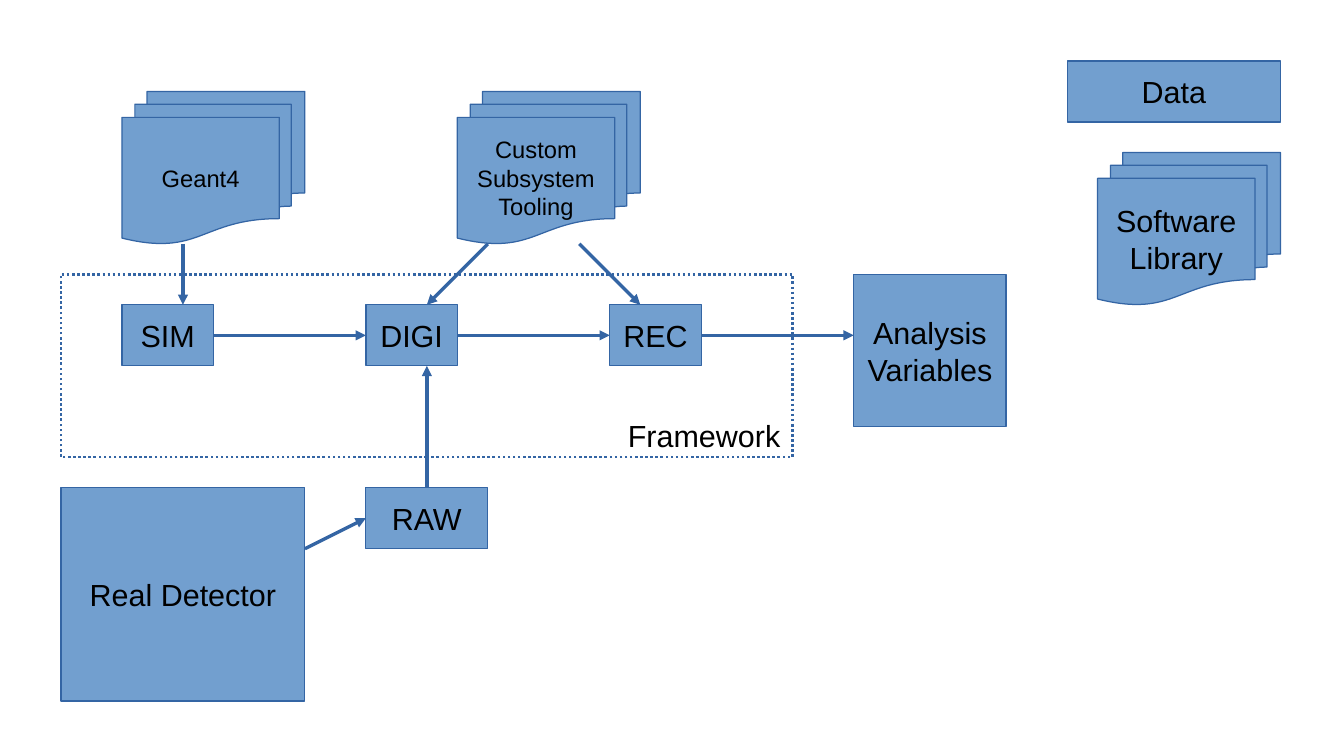
from pptx import Presentation
from pptx.dml.color import RGBColor
from pptx.enum.dml import MSO_LINE as DASH
from pptx.enum.shapes import MSO_CONNECTOR, MSO_SHAPE as SHAPE
from pptx.enum.text import MSO_ANCHOR, MSO_AUTO_SIZE, PP_ALIGN
from pptx.oxml.ns import qn
from pptx.util import Inches, Pt
from lxml.etree import SubElement

FILL = RGBColor(0x72, 0x9F, 0xCF)
EDGE = RGBColor(0x34, 0x65, 0xA4)
BLACK = RGBColor(0, 0, 0)

deck = Presentation()
deck.slide_width, deck.slide_height = Inches(11.02), Inches(6.2)
slide = deck.slides.add_slide(deck.slide_layouts[6])
shapes = slide.shapes


def write(shape, text, size, align):
    frame = shape.text_frame
    frame.text = text
    for para in frame.paragraphs:
        para.alignment = align
        para.font.name = "Arial"
        para.font.size = Pt(size)
        para.font.color.rgb = BLACK


def add_box(kind, place, text, size=18):
    box = shapes.add_shape(kind, *map(Inches, place))
    box.shadow.inherit = False
    box.fill.solid()
    box.fill.fore_color.rgb = FILL
    box.line.color.rgb = EDGE
    box.line.width = Pt(0)
    box.text_frame.vertical_anchor = MSO_ANCHOR.MIDDLE
    write(box, text, size, PP_ALIGN.CENTER)


# Data stages
for place, text in [
    ((1, 2.5, 0.75, 0.5), "SIM"),
    ((3, 2.5, 0.75, 0.5), "DIGI"),
    ((5, 2.5, 0.75, 0.5), "REC"),
    ((7, 2.25, 1.25, 1.25), "Analysis\nVariables"),
    ((3, 4, 1, 0.5), "RAW"),
    ((0.5, 4, 2, 1.75), "Real Detector"),
]:
    add_box(SHAPE.RECTANGLE, place, text)

# Data flow: start x, start y, end x, end y
for ends in [
    (1.5, 2, 1.5, 2.5),
    (4, 2, 3.5, 2.5),
    (4.75, 2, 5.25, 2.5),
    (2.5, 4.5, 3, 4.25),
    (3.5, 4, 3.5, 3),
    (1.75, 2.75, 3, 2.75),
    (3.75, 2.75, 5, 2.75),
    (5.75, 2.75, 7, 2.75),
]:
    arrow = shapes.add_connector(MSO_CONNECTOR.STRAIGHT, *map(Inches, ends))
    arrow.line.color.rgb = EDGE
    arrow.line.width = Pt(0)
    SubElement(arrow.line._get_or_add_ln(), qn("a:tailEnd"), type="triangle")
    SubElement(arrow._element.spPr, qn("a:effectLst"))

# Framework boundary and its label
border = shapes.add_shape(SHAPE.RECTANGLE, *map(Inches, (0.5, 2.25, 6, 1.5)))
border.shadow.inherit = False
border.fill.background()
border.line.color.rgb = EDGE
border.line.width = Pt(1.5)
border.line.dash_style = DASH.ROUND_DOT

label = shapes.add_textbox(*map(Inches, (5.05, 3.37, 1.45, 0.38)))
label.text_frame.word_wrap = False
label.text_frame.auto_size = MSO_AUTO_SIZE.SHAPE_TO_FIT_TEXT
write(label, "Framework", 18, PP_ALIGN.LEFT)

# Legend and software libraries
add_box(SHAPE.FLOWCHART_PROCESS, (8.75, 0.5, 1.75, 0.5), "Data")
for left, top, text, size in [
    (9, 1.25, "Software\nLibrary", 18),
    (3.75, 0.75, "Custom\nSubsystem\nTooling", 14),
    (1, 0.75, "Geant4", 14),
]:
    add_box(SHAPE.FLOWCHART_MULTIDOCUMENT, (left, top, 1.5, 1.25), text, size)

deck.save("out.pptx")
